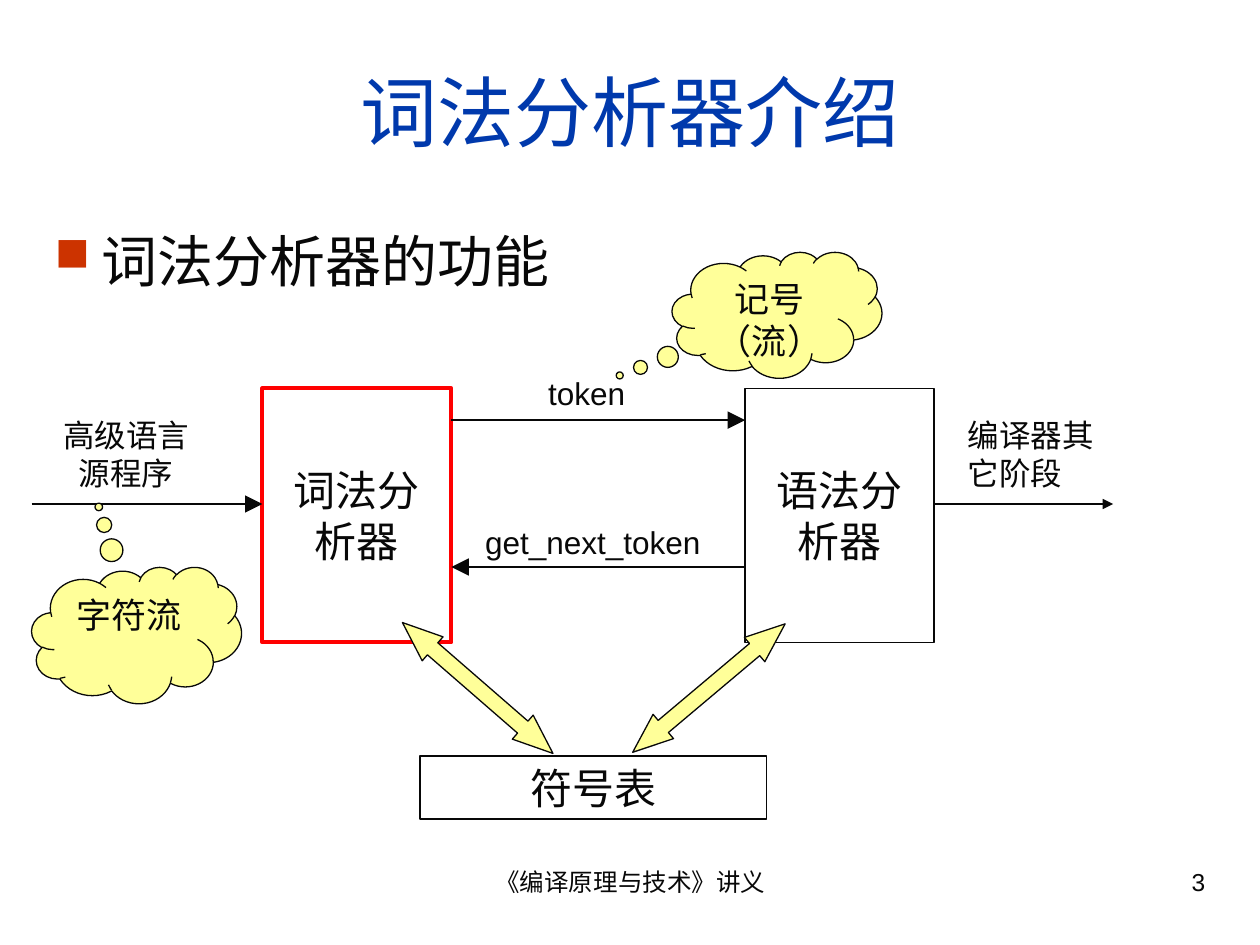
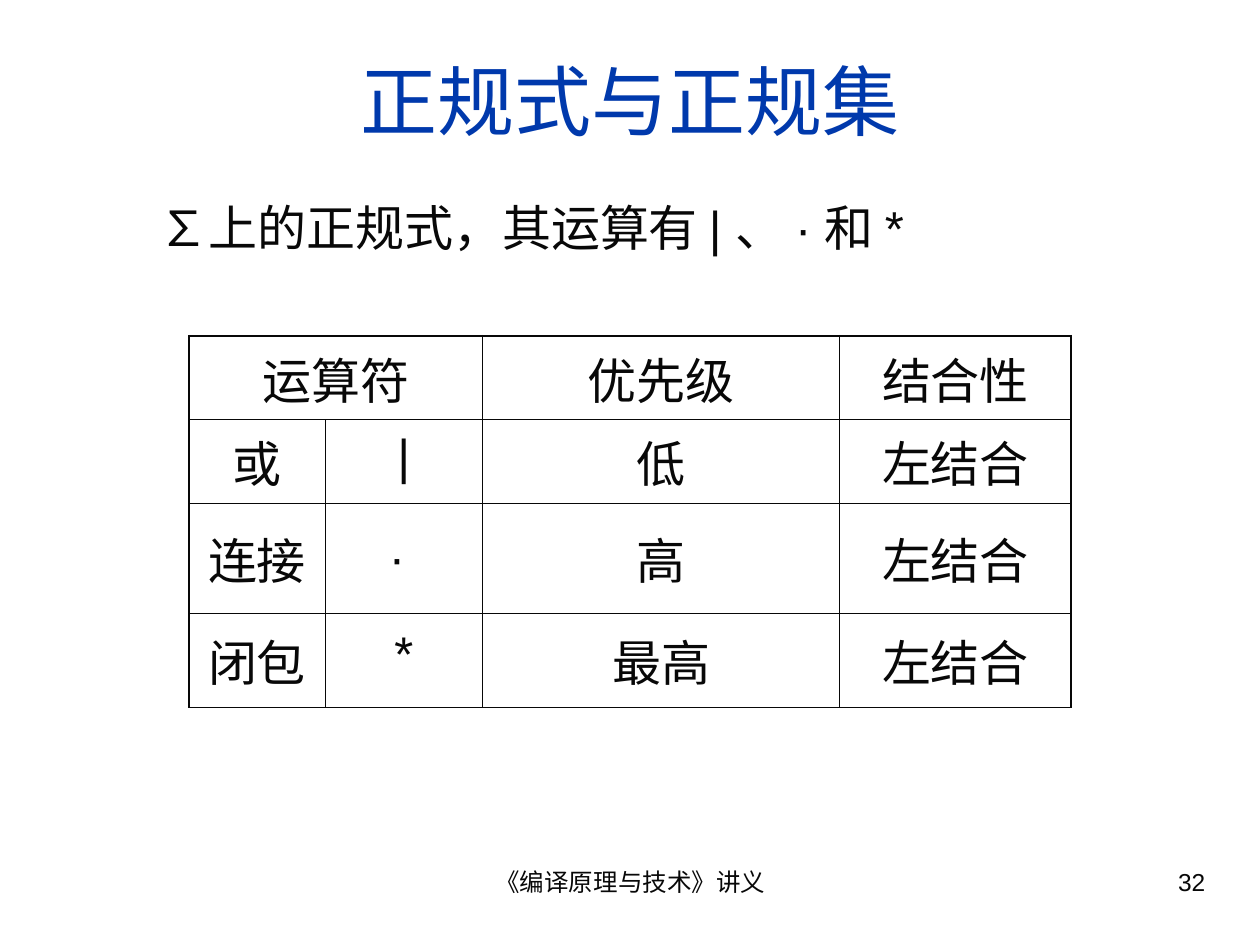
from dataclasses import dataclass

from lxml import etree
from pptx import Presentation
from pptx.dml.color import RGBColor
from pptx.enum.shapes import MSO_CONNECTOR, MSO_SHAPE
from pptx.enum.text import MSO_ANCHOR, MSO_AUTO_SIZE, PP_ALIGN
from pptx.oxml.ns import qn
from pptx.util import Cm, Pt

RECTANGLE = MSO_SHAPE.RECTANGLE
CLOUD = MSO_SHAPE.CLOUD_CALLOUT
DOUBLE_ARROW = MSO_SHAPE.LEFT_RIGHT_ARROW
STRAIGHT = MSO_CONNECTOR.STRAIGHT
TOP, MIDDLE = MSO_ANCHOR.TOP, MSO_ANCHOR.MIDDLE
LEFT, CENTER, RIGHT = PP_ALIGN.LEFT, PP_ALIGN.CENTER, PP_ALIGN.RIGHT
NO_AUTOFIT = MSO_AUTO_SIZE.NONE
TITLE_ONLY = 5


@dataclass(frozen=True)
class Theme:
    ink: str = "080808"
    title: str = "0039AC"
    bullet: str = "CC3300"
    highlight: str = "FF0000"
    note: str = "FFFF99"
    font: str = "Arial"
    mono: str = "Courier New"
    chinese: str = "Noto Sans CJK SC"
    title_size: float = 44
    body_size: float = 32
    large_size: float = 28
    box_size: float = 24
    note_size: float = 20
    label_size: float = 18
    footer_size: float = 14
    thin: float = 0.75
    flow: float = 1.5
    strong: float = 2.25
    table_inner: float = 0.45
    table_outer: float = 1.08


THEME = Theme()


def rgb(color):
    return RGBColor.from_string(color)


def write(frame, text, size=THEME.label_size, color=THEME.ink, font=THEME.font,
          align=LEFT, anchor=TOP):
    frame.word_wrap = True
    frame.auto_size = NO_AUTOFIT
    frame.vertical_anchor = anchor
    return write_paragraph(frame.paragraphs[0], text, size, color, font, align)


def write_paragraph(paragraph, text, size, color, font, align):
    paragraph.alignment = align
    run = paragraph.add_run()
    run.text = text
    run.font.size = Pt(size)
    run.font.name = font
    run.font.color.rgb = rgb(color)
    return paragraph


class Deck:
    def __init__(self, theme):
        self.theme = theme
        self.presentation = Presentation()
        self.presentation.slide_width = Cm(25.4)
        self.presentation.slide_height = Cm(19.05)
        self.slide = None

    def start_slide(self, heading, number, top):
        layout = self.presentation.slide_layouts[TITLE_ONLY]
        self.slide = self.presentation.slides.add_slide(layout)
        title = self.slide.shapes.title
        title.left, title.top = Cm(0.85), Cm(top)
        title.width, title.height = Cm(23.7), Cm(3.18)
        write(title.text_frame, heading, size=self.theme.title_size,
              color=self.theme.title, align=CENTER, anchor=MIDDLE)
        size = self.theme.footer_size
        self.label("《编译原理与技术》讲义", 8.68, 17.36, 8.06, 1.31, size=size, align=CENTER)
        self.label(str(number), 18.2, 17.36, 6.35, 1.31, size=size, align=RIGHT)

    def label(self, text, left, top, width, height, **style):
        box = self.slide.shapes.add_textbox(Cm(left), Cm(top), Cm(width), Cm(height))
        return write(box.text_frame, text, **style)

    def bullet(self, text, left, top, width, height):
        paragraph = self.label(text, left, top, width, height, size=self.theme.body_size)
        properties = paragraph._p.get_or_add_pPr()
        properties.set("marL", str(Cm(0.95)))
        properties.set("indent", str(-Cm(0.95)))
        color = etree.SubElement(properties, qn("a:buClr"))
        etree.SubElement(color, qn("a:srgbClr"), val=self.theme.bullet)
        etree.SubElement(properties, qn("a:buSzPct"), val="85000")
        etree.SubElement(properties, qn("a:buChar"), char="■")

    def shape(self, preset, left, top, width, height, fill=None, line=None,
              weight=None, adjustments=(), rotation=0):
        shape = self.slide.shapes.add_shape(preset, Cm(left), Cm(top), Cm(width), Cm(height))
        shape.shadow.inherit = False
        shape.rotation = rotation
        for index, value in enumerate(adjustments):
            shape.adjustments[index] = value
        if fill:
            shape.fill.solid()
            shape.fill.fore_color.rgb = rgb(fill)
        else:
            shape.fill.background()
        shape.line.color.rgb = rgb(line or self.theme.ink)
        shape.line.width = Pt(weight or self.theme.thin)
        return shape

    def box(self, text, left, top, width, height, **outline):
        box = self.shape(RECTANGLE, left, top, width, height, **outline)
        write(box.text_frame, text, size=self.theme.box_size, align=CENTER, anchor=MIDDLE)

    def cloud(self, text, left, top, width, height, pointer):
        cloud = self.shape(CLOUD, left, top, width, height,
                           fill=self.theme.note, adjustments=pointer)
        write(cloud.text_frame, text, size=self.theme.note_size, align=CENTER)

    def double_arrow(self, left, top, rotation):
        self.shape(DOUBLE_ARROW, left, top, 4.02, 0.64, fill=self.theme.note,
                   adjustments=(0.5, 1.26), rotation=rotation)

    def arrow(self, start, end, y, head="lg"):
        connector = self.slide.shapes.add_connector(STRAIGHT, Cm(start), Cm(y), Cm(end), Cm(y))
        connector.line.color.rgb = rgb(self.theme.ink)
        connector.line.width = Pt(self.theme.flow)
        line = connector.line._get_or_add_ln()
        etree.SubElement(line, qn("a:tailEnd"), type="triangle", w=head, len=head)
        etree.SubElement(connector._element.spPr, qn("a:effectLst"))

    def table(self, rows, left, top, widths, heights):
        frame = self.slide.shapes.add_table(len(rows), len(widths), Cm(left), Cm(top),
                                            Cm(sum(widths)), Cm(sum(heights)))
        grid = frame.table
        grid.first_row = grid.horz_banding = False
        for column, width in zip(grid.columns, widths):
            column.width = Cm(width)
        for row, height in zip(grid.rows, heights):
            row.height = Cm(height)
        last_row, last_column = len(rows) - 1, len(widths) - 1
        for r, row in enumerate(rows):
            for c, (text, font) in enumerate(row):
                cell = grid.cell(r, c)
                cell.fill.background()
                cell.vertical_anchor = MIDDLE
                self.borders(cell, {"L": c == 0, "R": c == last_column,
                                    "T": r == 0, "B": r == last_row})
                if text:
                    write_paragraph(cell.text_frame.paragraphs[0], text,
                                    self.theme.large_size, self.theme.ink, font, CENTER)
        return grid

    def borders(self, cell, outer_sides):
        properties = cell._tc.get_or_add_tcPr()
        for index, (side, outer) in enumerate(outer_sides.items()):
            weight = self.theme.table_outer if outer else self.theme.table_inner
            line = etree.Element(qn(f"a:ln{side}"), w=str(Pt(weight)))
            fill = etree.SubElement(line, qn("a:solidFill"))
            etree.SubElement(fill, qn("a:srgbClr"), val=self.theme.ink)
            properties.insert(index, line)


def lexer_slide(deck):
    theme = deck.theme
    deck.start_slide("词法分析器介绍", 3, top=0.64)
    deck.bullet("词法分析器的功能", 0.85, 4.45, 23.7, 12.5)

    stage_top, stage_width, stage_height = 7.83, 3.81, 5.12
    lexer_left, parser_left = 5.29, 15.02
    lexer_right, parser_right = lexer_left + stage_width, parser_left + stage_width
    deck.label("高级语言源程序", 0.85, 8.26, 3.39, 1.78, align=CENTER)
    deck.box("词法分析器", lexer_left, stage_top, stage_width, stage_height,
             line=theme.highlight, weight=theme.strong)
    deck.box("语法分析器", parser_left, stage_top, stage_width, stage_height)
    deck.arrow(lexer_right, parser_left, 8.47)
    deck.arrow(parser_left, lexer_right, 11.43)
    deck.label("token", 10.8, 7.41, 2.96, 1.02)
    deck.label("get_next_token", 9.53, 10.42, 5.29, 1.02)
    deck.arrow(0.64, lexer_left, 10.16)
    deck.arrow(parser_right, 22.44, 10.16, head="med")
    deck.label("编译器其它阶段", 19.26, 8.26, 3.18, 1.78)

    deck.box("符号表", 8.47, 15.24, 6.99, 1.27)
    deck.double_arrow(7.62, 13.55, 41)
    deck.double_arrow(12.28, 13.55, 139.9)
    deck.cloud("字符流", 0.64, 11.43, 4.23, 2.75, pointer=(-0.18, -0.94))
    deck.cloud("记号（流）", 13.55, 5.08, 4.23, 2.54, pointer=(-0.75, 0.48))


def regular_expression_slide(deck):
    theme = deck.theme
    deck.start_slide("正规式与正规集", 32, top=0.42)
    header = [(text, theme.font) for text in ("运算符", "", "优先级", "结合性")]
    operators = [
        ("或", "|", theme.mono, "低", theme.chinese),
        ("连接", "· ", theme.font, "高", theme.font),
        ("闭包", "*", theme.mono, "最高", theme.font),
    ]
    rows = [header] + [
        [(name, theme.chinese), (symbol, symbol_font),
         (priority, priority_font), ("左结合", theme.mono)]
        for name, symbol, symbol_font, priority, priority_font in operators
    ]
    grid = deck.table(rows, 3.81, 6.77, widths=(2.74, 3.18, 7.2, 4.66),
                      heights=(1.69, 1.69, 2.21, 1.9))
    grid.cell(0, 0).merge(grid.cell(0, 1))
    deck.label("∑上的正规式，其运算有 | 、 · 和 *", 2.97, 3.86, 19.9, 1.45,
               size=theme.large_size)


def main():
    deck = Deck(THEME)
    lexer_slide(deck)
    regular_expression_slide(deck)
    deck.presentation.save("out.pptx")


if __name__ == "__main__":
    main()
